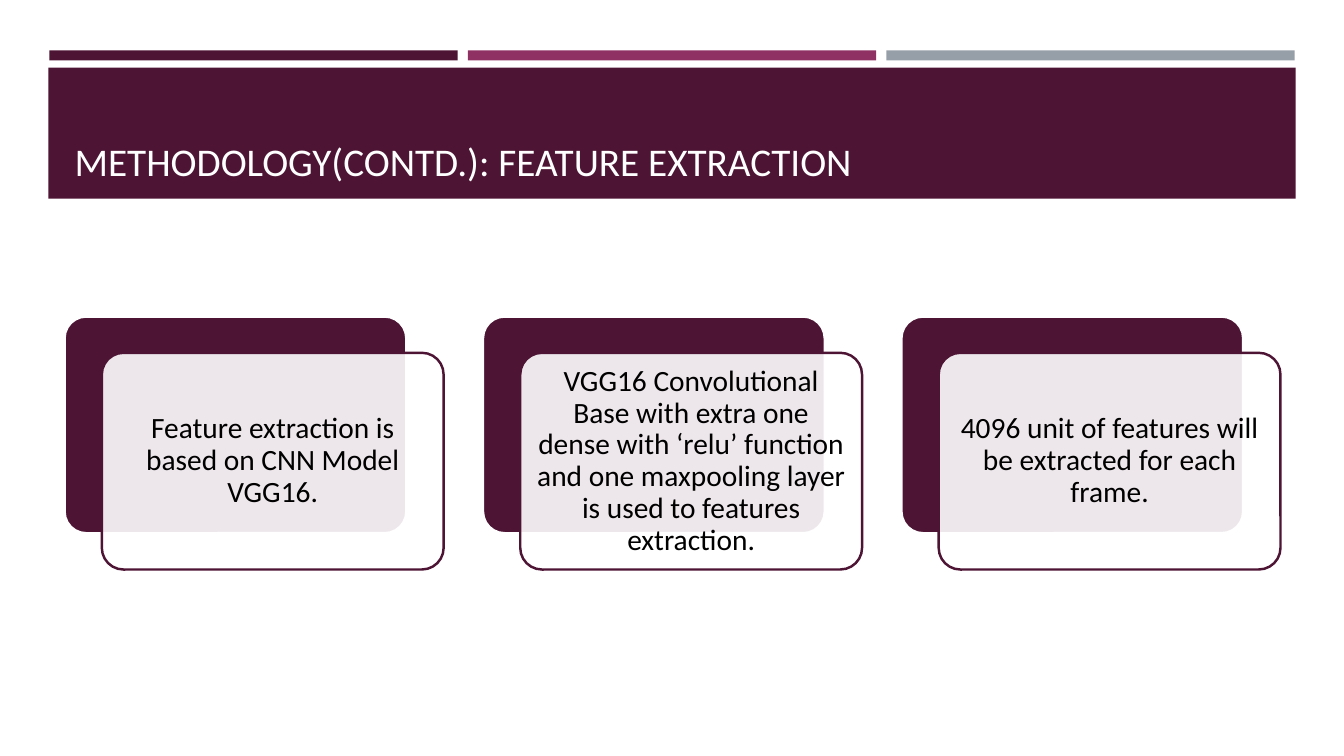
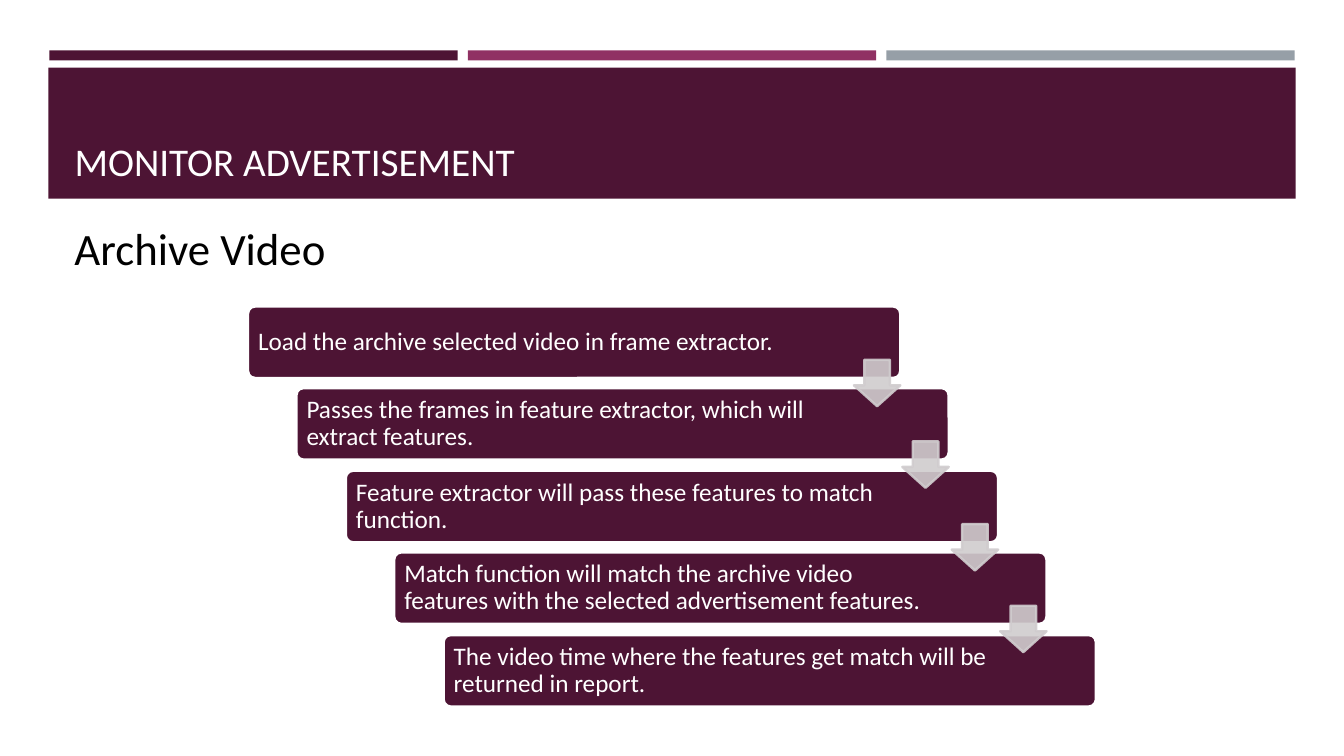
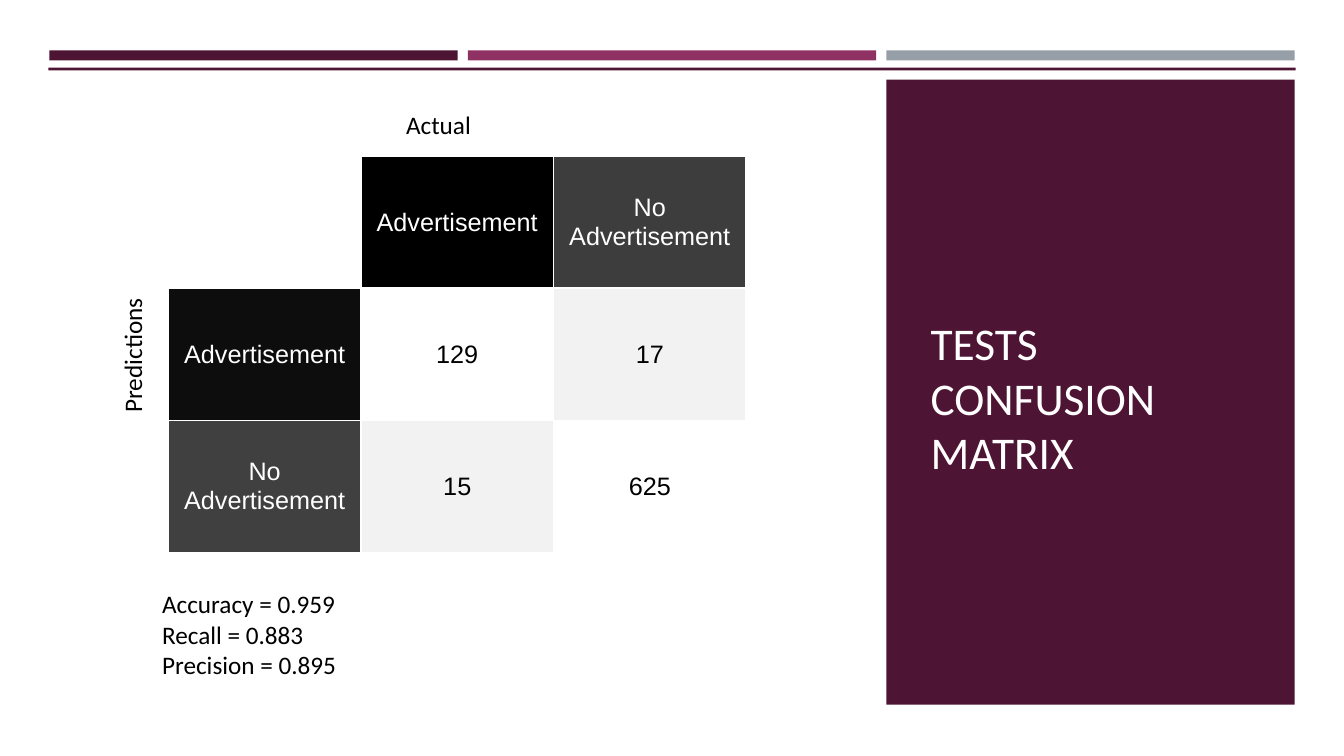
from lxml.etree import SubElement
from pptx import Presentation
from pptx.dml.color import RGBColor
from pptx.enum.shapes import MSO_SHAPE as Shape
from pptx.enum.text import MSO_ANCHOR as Anchor, MSO_AUTO_SIZE as AutoSize, PP_ALIGN as Align
from pptx.oxml.ns import qn
from pptx.util import Emu, Pt

PX = 9144  # 100 px to the inch
COLORS = {
    "plum": "4D1434", "magenta": "903163", "steel": "969FA7",
    "white": "FFFFFF", "black": "000000", "arrow": "D0CCCE",
    "ink": "0D0D0D", "charcoal": "3D3D3D", "slate": "404040", "mist": "F2F2F2",
}
FONT = "Calibri"
TITLE_ONLY = 5

CARDS = [
    "Feature extraction is based on CNN Model VGG16.",
    "VGG16 Convolutional Base with extra one dense with ‘relu’ function "
    "and one maxpooling layer is used to features extraction.",
    "4096 unit of features will be extracted for each frame.",
]
STEPS = [
    "Load the archive selected video in frame extractor.",
    "Passes the frames in feature extractor, which will extract features.",
    "Feature extractor will pass these features to match function.",
    "Match function will match the archive video features "
    "with the selected advertisement features.",
    "The video time where the features get match will be returned in report.",
]
# Each cell: text, fill, text colour
MATRIX = [
    [("", "white", "white"), ("Advertisement", "black", "white"),
     ("No Advertisement", "charcoal", "white")],
    [("Advertisement", "ink", "white"), ("129", "white", "black"), ("17", "mist", "black")],
    [("No Advertisement", "slate", "white"), ("15", "mist", "black"), ("625", "white", "black")],
]


def px(*lengths):
    return [Emu(length * PX) for length in lengths]


def rgb(name):
    return RGBColor.from_string(COLORS[name])


# Text
def write_text(frame, text, size=18, color="black", font=FONT, align=Align.LEFT,
               spacing=1.0, anchor=Anchor.TOP, wrap=True, insets=(10, 5, 10, 5)):
    frame.auto_size = AutoSize.NONE
    frame.word_wrap = wrap
    frame.vertical_anchor = anchor
    (frame.margin_left, frame.margin_top,
     frame.margin_right, frame.margin_bottom) = px(*insets)
    for index, line in enumerate(text.split("\n")):
        para = frame.paragraphs[0] if index == 0 else frame.add_paragraph()
        para.alignment = align
        para.line_spacing = spacing
        span = para.add_run()
        span.text = line
        span.font.name = font
        span.font.size = Pt(size)
        span.font.color.rgb = rgb(color)


def add_label(page, at, text, rotation=0, **text_format):
    box = page.shapes.add_textbox(*px(*at))
    box.rotation = rotation
    write_text(box.text_frame, text, **text_format)


# Shapes
def set_opacity(fill, percent):
    color = fill._xPr.find(qn("a:solidFill"))[0]
    SubElement(color, qn("a:alpha"), val=str(percent * 1000))


def add_block(page, at, fill, kind=Shape.RECTANGLE, line=None, adjust=(), opacity=100):
    block = page.shapes.add_shape(kind, *px(*at))
    block.shadow.inherit = False
    block.fill.solid()
    block.fill.fore_color.rgb = rgb(fill)
    for index, value in enumerate(adjust):
        block.adjustments[index] = value
    if line:
        block.line.color.rgb = rgb(line)
        block.line.width = Pt(1.75)
    else:
        block.line.fill.background()
    if opacity < 100:
        set_opacity(block.fill, opacity)
    return block


# Shared page: three bars, plum band or side panel, title on top
def add_page(deck, title, panel=False):
    page = deck.slides.add_slide(deck.slide_layouts[TITLE_ONLY])
    for index, color in enumerate(("plum", "magenta", "steel")):
        add_block(page, (49 + 415 * index, 50, 405, 10), color)
    if panel:
        add_block(page, (48, 67, 1237, 3), "plum")
        add_block(page, (879, 79, 405, 620), "plum")
        place, size = (913, 340, 337, 140), 32.4
    else:
        add_block(page, (48, 67, 1237, 130), "plum")
        place, size = (64, 77, 1206, 111), 28
    heading = page.shapes.title
    heading.left, heading.top, heading.width, heading.height = px(*place)
    write_text(heading.text_frame, title, size=size, color="white", anchor=Anchor.BOTTOM)
    page.shapes._spTree.append(heading._element)
    return page


def add_card(page, left, top, text):
    add_block(page, (left, top, 339, 215), "plum", Shape.ROUNDED_RECTANGLE, "white", [0.1])
    front = add_block(page, (left + 37, top + 36, 339, 215), "white",
                      Shape.ROUNDED_RECTANGLE, "plum", [0.1], opacity=90)
    write_text(front.text_frame, text, size=21, align=Align.CENTER, spacing=0.9,
               anchor=Anchor.MIDDLE, insets=(10, 10, 10, 10))


def add_stairs(page, steps):
    places = [(246 + 97 * index // 2, 304 + 163 * index // 2) for index in range(len(steps))]
    for (left, top), text in zip(places, steps):
        step = add_block(page, (left, top, 647, 71), "plum",
                         Shape.ROUNDED_RECTANGLE, "white", [0.1])
        write_text(step.text_frame, text, color="white", spacing=0.9,
                   anchor=Anchor.MIDDLE, insets=(8, 7, 102, 7))
    for left, top in places[:-1]:
        arrow = add_block(page, (left + 601, top + 53, 46, 46), "arrow",
                          Shape.DOWN_ARROW, "arrow", [0.55, 0.45], opacity=90)
        set_opacity(arrow.line.fill, 90)


# Table
def add_bottom_border(cell, color, points):
    border = SubElement(cell._tc.get_or_add_tcPr(), qn("a:lnB"), w=str(Pt(points)))
    SubElement(SubElement(border, qn("a:solidFill")), qn("a:srgbClr"), val=COLORS[color])


def add_matrix(page, rows, left, top, column_width, row_height):
    columns = len(rows[0])
    size = (column_width * columns, row_height * len(rows))
    table = page.shapes.add_table(len(rows), columns, *px(left, top, *size)).table
    for row_index, row in enumerate(rows):
        table.rows[row_index].height = px(row_height)[0]
        for column_index, (text, fill, color) in enumerate(row):
            table.columns[column_index].width = px(column_width)[0]
            cell = table.cell(row_index, column_index)
            if row_index == 0:
                add_bottom_border(cell, "white", 2)
            cell.fill.solid()
            cell.fill.fore_color.rgb = rgb(fill)
            cell.vertical_anchor = Anchor.MIDDLE
            if text:
                para = cell.text_frame.paragraphs[0]
                para.alignment = Align.CENTER
                span = para.add_run()
                span.text = text
                span.font.name = "Arial"
                span.font.size = Pt(18)
                span.font.bold = False
                span.font.color.rgb = rgb(color)


def main():
    deck = Presentation()
    deck.slide_width, deck.slide_height = px(1333, 750)

    # Feature extraction
    page = add_page(deck, "METHODOLOGY(CONTD.): FEATURE EXTRACTION")
    for index, text in enumerate(CARDS):
        add_card(page, 64 + 415 * index, 314, text)

    # Archive video
    page = add_page(deck, "MONITOR ADVERTISEMENT")
    add_stairs(page, STEPS)
    add_label(page, (64, 217, 402, 61), "Archive Video", size=32, spacing=0.9,
              anchor=Anchor.BOTTOM)

    # Confusion matrix
    page = add_page(deck, "TESTS CONFUSION MATRIX", panel=True)
    add_matrix(page, MATRIX, 167, 155, 191, 131)
    add_label(page, (64, 332, 134, 40), "Predictions", rotation=270, wrap=False)
    add_label(page, (393, 104, 94, 40), "Actual", wrap=False)
    add_label(page, (151, 579, 590, 101),
              "Accuracy = 0.959\nRecall = 0.883\nPrecision = 0.895")

    deck.save("out.pptx")


if __name__ == "__main__":
    main()
